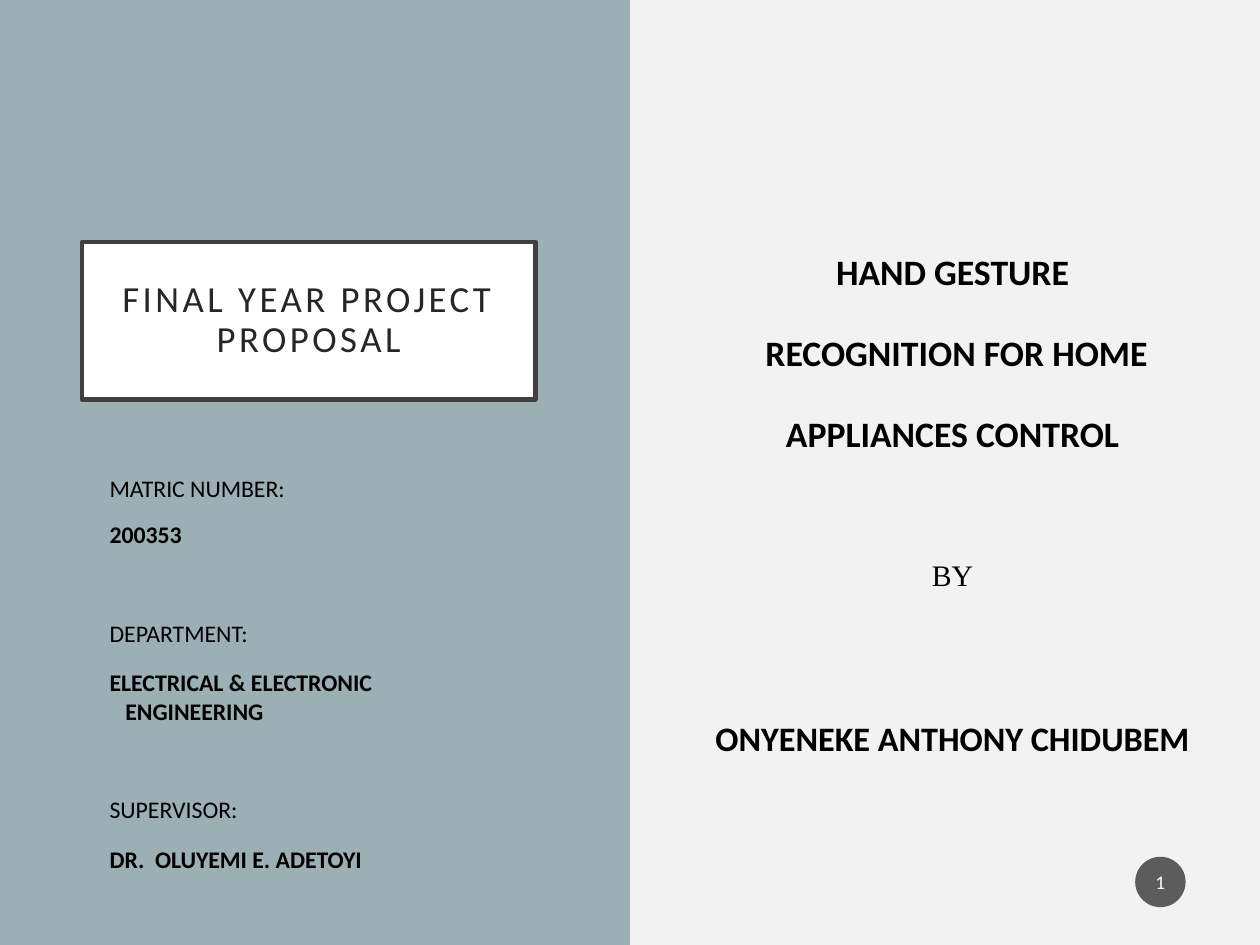
from dataclasses import dataclass

from lxml import etree
from pptx import Presentation
from pptx.dml.color import RGBColor
from pptx.enum import shapes, text
from pptx.oxml.ns import qn
from pptx.util import Pt


@dataclass(frozen=True)
class Theme:
    sans: str = "Calibri"
    serif: str = "Times New Roman"
    background: str = "F2F2F2"
    panel: str = "9BAFB5"
    white: str = "FFFFFF"
    frame: str = "404040"
    heading: str = "262626"
    ink: str = "000000"
    badge: str = "1D1D1D"
    heading_size: float = 21
    topic_size: float = 20.4
    author_size: float = 19.6
    by_size: float = 17
    detail_size: float = 13.6
    badge_size: float = 11


THEME = Theme()


def write(paragraph, content, size, color=THEME.ink, font=THEME.sans, bold=False,
          align=text.PP_ALIGN.CENTER, before=0, line=1.0, tracking=0, margin=0, hanging=0):
    paragraph.text = content
    paragraph.alignment = align
    paragraph.space_before = Pt(before)
    paragraph.line_spacing = line
    properties = paragraph._p.get_or_add_pPr()
    properties.set("marL", str(Pt(margin + hanging)))
    properties.set("indent", str(-Pt(hanging)))
    etree.SubElement(properties, qn("a:buNone"))
    for run in paragraph.runs:
        run.font.name = font
        run.font.size = Pt(size)
        run.font.bold = bold
        run.font.color.rgb = RGBColor.from_string(color)
        if tracking:
            run._r.get_or_add_rPr().set("spc", str(tracking * 100))


class ProposalSlide:
    def __init__(self, deck, theme):
        self.theme = theme
        self.slide = deck.slides.add_slide(deck.slide_layouts.get_by_name("Two Content"))
        fill = self.slide.background.fill
        fill.solid()
        fill.fore_color.rgb = RGBColor.from_string(theme.background)

    def place(self, holder, box, insets, anchor):
        holder.left, holder.top, holder.width, holder.height = map(Pt, box)
        frame = holder.text_frame
        frame.word_wrap = True
        frame.auto_size = text.MSO_AUTO_SIZE.NONE
        frame.vertical_anchor = anchor
        (frame.margin_left, frame.margin_top,
         frame.margin_right, frame.margin_bottom) = map(Pt, insets)
        return frame

    def shape(self, kind, box, color, opacity=None):
        figure = self.slide.shapes.add_shape(kind, *map(Pt, box))
        figure.shadow.inherit = False
        figure.fill.solid()
        figure.fill.fore_color.rgb = RGBColor.from_string(color)
        figure.line.fill.background()
        if opacity:
            tint = figure.element.spPr.find(qn("a:solidFill"))[0]
            etree.SubElement(tint, qn("a:alpha")).set("val", str(opacity * 1000))
        return figure

    def panel(self, box):
        backdrop = self.shape(shapes.MSO_SHAPE.RECTANGLE, box, self.theme.panel)
        self.slide.shapes.title.element.addprevious(backdrop.element)

    def title(self, content, box):
        heading = self.slide.shapes.title
        frame = self.place(heading, box, [14.4] * 4, text.MSO_ANCHOR.MIDDLE)
        heading.fill.solid()
        heading.fill.fore_color.rgb = RGBColor.from_string(self.theme.white)
        heading.line.color.rgb = RGBColor.from_string(self.theme.frame)
        heading.line.width = Pt(2.5)
        write(frame.paragraphs[0], content, self.theme.heading_size,
              self.theme.heading, line=0.9, tracking=2)

    def body(self, index, box, entries, top=3.6, **style):
        frame = self.place(self.slide.placeholders[index], box,
                           (7.2, top, 7.2, 3.6), text.MSO_ANCHOR.TOP)
        for position, (content, changes) in enumerate(entries):
            paragraph = frame.add_paragraph() if position else frame.paragraphs[0]
            write(paragraph, content, **{"margin": 8.64, **style, **changes})

    def badge(self, content, box):
        circle = self.shape(shapes.MSO_SHAPE.OVAL, box, self.theme.badge, opacity=70)
        frame = self.place(circle, box, (1.44, 3.6, 1.44, 3.6), text.MSO_ANCHOR.MIDDLE)
        write(frame.paragraphs[0], content, self.theme.badge_size, self.theme.white)


def main():
    deck = Presentation()
    deck.slide_width, deck.slide_height = Pt(720), Pt(540)
    proposal = ProposalSlide(deck, THEME)
    proposal.panel((0, 0, 360, 540))
    proposal.title("FINAL YEAR PROJECT PROPOSAL", (46.8, 138.24, 259.2, 90))
    proposal.body(1, (360, 5.76, 360, 534.24), [
        ("HAND GESTURE", {}),
        (" RECOGNITION FOR HOME", {"before": 22}),
        ("APPLIANCES CONTROL", {"before": 22}),
        ("BY", {"before": 58, "size": THEME.by_size, "font": THEME.serif, "bold": False}),
        ("ONYENEKE ANTHONY CHIDUBEM", {"before": 71.5, "size": THEME.author_size}),
    ], top=136.8, size=THEME.topic_size, bold=True)
    proposal.body(2, (46.8, 267.12, 259.2, 249.12), [
        ("MATRIC NUMBER:", {}),
        ("200353", {"bold": True, "before": 10}),
        ("DEPARTMENT:", {"before": 40}),
        ("ELECTRICAL & ELECTRONIC\vENGINEERING",
         {"bold": True, "before": 12, "hanging": 9}),
        ("SUPERVISOR:", {"before": 40}),
        ("DR.  OLUYEMI E. ADETOYI", {"bold": True, "before": 12}),
    ], size=THEME.detail_size, align=text.PP_ALIGN.LEFT)
    proposal.badge("1", (648.72, 489.6, 28.8, 28.8))
    deck.save("out.pptx")


if __name__ == "__main__":
    main()
